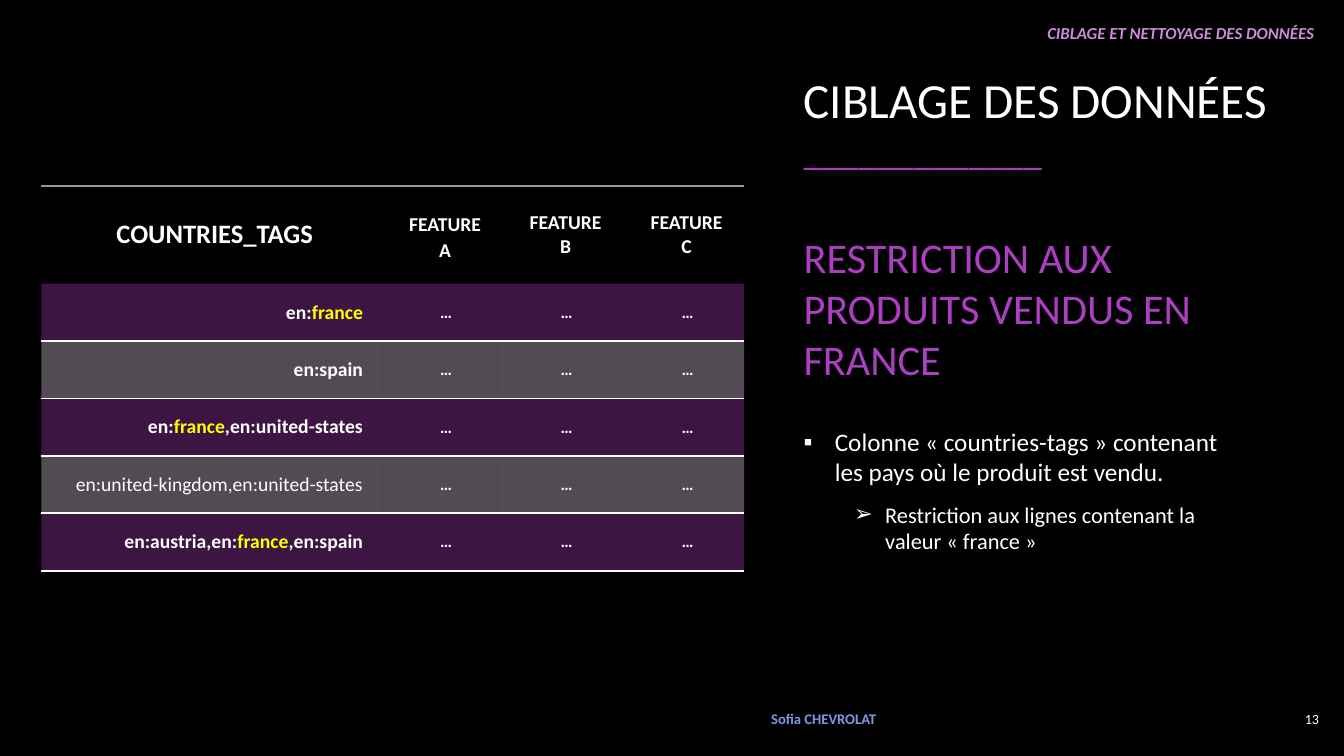
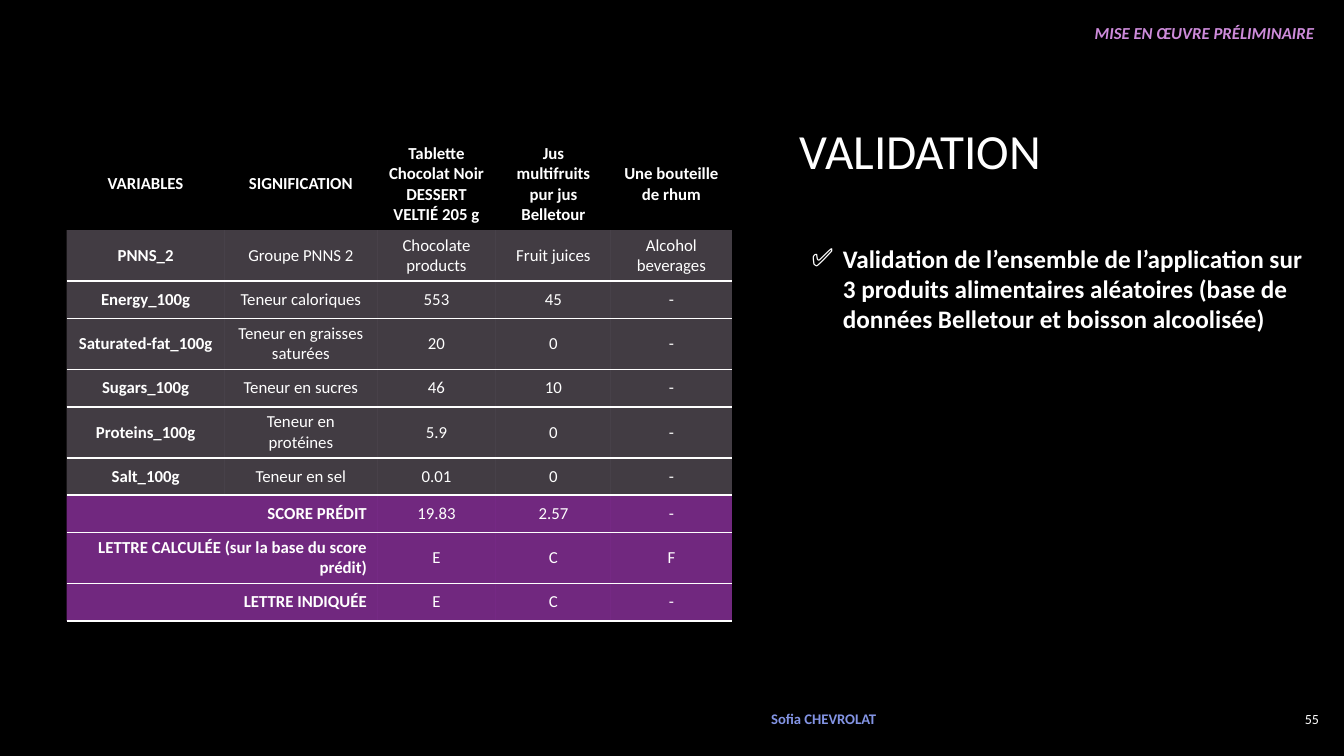
from collections import namedtuple
from dataclasses import dataclass

from lxml import etree
from pptx import Presentation
from pptx import util as u
from pptx.dml import color
from pptx.enum import text as t
from pptx.oxml import ns

Box = namedtuple("Box", "left top width height")
UNIT = u.Inches(0.01)
COLUMNS, ROWS = 1333, 750


@dataclass(frozen=True)
class Theme:
    """Colours, font and type sizes shared by the slides."""
    font: str = "Calibri"
    black: str = "000000"
    white: str = "FFFFFF"
    purple: str = "AC3EC1"
    pale: str = "EED8F3"
    section: str = "CD8BDA"
    author: str = "8394E4"
    grey: str = "8F9A9D"
    yellow: str = "FFFF00"
    title: float = 35.1
    rule: float = 26.3
    subtitle: float = 30.2
    body: float = 18
    sub_body: float = 16
    lead_header: float = 19
    cell: float = 14
    small: float = 12
    footer: float = 10.5
    number: float = 10


THEME = Theme()
LEFT, CENTER, RIGHT = t.PP_ALIGN.LEFT, t.PP_ALIGN.CENTER, t.PP_ALIGN.RIGHT
MIDDLE, TOP = t.MSO_ANCHOR.MIDDLE, t.MSO_ANCHOR.TOP


def assign(target, values):
    """Set each named attribute on the target."""
    for name, value in values.items():
        setattr(target, name, value)


def grid(box):
    """Turn a box in grid units into lengths."""
    return [int(UNIT * value) for value in box]


def add_run(paragraph, text, size, colour=THEME.white, **style):
    """Add one formatted run."""
    run = paragraph.add_run()
    run.text = text
    assign(run.font, {"name": THEME.font, "size": u.Pt(size), **style})
    run.font.color.rgb = color.RGBColor.from_string(colour)


def add_element(parent, tag, **attributes):
    """Append one drawing element to the parent."""
    return etree.SubElement(parent, ns.qn(tag), attributes)


def set_bullet(paragraph, character, indent):
    """Give a paragraph a white hanging bullet."""
    properties = paragraph._p.get_or_add_pPr()
    properties.set("marL", str(UNIT * indent))
    properties.set("indent", str(UNIT * -31))
    add_element(add_element(properties, "a:buClr"), "a:srgbClr", val=THEME.white)
    add_element(properties, "a:buFont", typeface="Arial")
    add_element(properties, "a:buChar", char=character)


def place(shape, box, anchor):
    """Move a text shape to its box and return its frame."""
    assign(shape, dict(zip(Box._fields, grid(box))))
    frame = shape.text_frame
    assign(frame, {"word_wrap": True, "auto_size": t.MSO_AUTO_SIZE.NONE,
                   "vertical_anchor": anchor})
    return frame


def fill_paragraphs(frame, paragraphs):
    """Fill a frame with (text, run style, paragraph format, bullet) entries."""
    for index, (text, style, layout, bullet) in enumerate(paragraphs):
        paragraph = frame.add_paragraph() if index else frame.paragraphs[0]
        assign(paragraph, {"alignment": LEFT, "space_before": u.Pt(0), **layout})
        if bullet:
            set_bullet(paragraph, *bullet)
        add_run(paragraph, text, **style)


def add_label(slide, box, text, anchor, alignment, **style):
    """Add a single-line text box."""
    frame = place(slide.shapes.add_textbox(*grid(box)), box, anchor)
    fill_paragraphs(frame, [(text, style, {"alignment": alignment}, None)])


def add_base(presentation, section, number):
    """Add a slide with its section name, author and number."""
    slide = presentation.slides.add_slide(presentation.slide_layouts[1])
    add_label(slide, Box(767.5, 17.5, 546, 30), section, TOP, RIGHT, size=THEME.small,
              colour=THEME.section, bold=True, italic=True)
    add_label(slide, Box(1258, 692.5, 60, 41), number, MIDDLE, RIGHT,
              size=THEME.number)
    add_label(slide, Box(755, 692, 176, 41), "Sofia CHEVROLAT", MIDDLE, LEFT,
              size=THEME.footer, colour=THEME.author, bold=True)
    return slide


def add_title(slide, box, paragraphs):
    """Fill the title placeholder."""
    fill_paragraphs(place(slide.shapes.title, box, MIDDLE), paragraphs)


def add_body(slide, box, paragraphs, anchor):
    """Fill the body placeholder with bullets."""
    fill_paragraphs(place(slide.placeholders[1], box, anchor), paragraphs)


def add_table(slide, box, columns, rows):
    """Add an unstyled table whose tracks share its box by weight."""
    table = slide.shapes.add_table(len(rows), len(columns), *grid(box)).table
    table._tbl.tblPr.find(ns.qn("a:tableStyleId")).text = (
        "{2D5ABB26-0587-4C30-8999-92F81FD0307C}")
    for column, weight in zip(table.columns, columns):
        column.width = int(UNIT * box.width * weight / sum(columns))
    for row, weight in zip(table.rows, rows):
        row.height = int(UNIT * box.height * weight / sum(rows))
    return table


def set_alpha(parent, percent):
    """Make the colour under the parent partly transparent."""
    for colour in parent.iter(ns.qn("a:srgbClr")):
        add_element(colour, "a:alpha", val=str(percent * 1000))


def paint_cell(cell, fill=None, alpha=100, top=None, bottom=None):
    """Set the fill and the four borders of a cell."""
    properties = cell._tc.get_or_add_tcPr()
    if fill:
        cell.fill.solid()
        cell.fill.fore_color.rgb = color.RGBColor.from_string(fill)
        set_alpha(properties, alpha)
    else:
        cell.fill.background()
    borders = {"a:lnL": None, "a:lnR": None, "a:lnT": top, "a:lnB": bottom}
    for index, (tag, border) in enumerate(borders.items()):
        line = add_element(properties, tag, w=str(u.Pt(1.5)))
        if border:
            add_element(add_element(line, "a:solidFill"), "a:srgbClr", val=border)
        else:
            add_element(line, "a:noFill")
        if border == THEME.grey:
            set_alpha(line, 60)
        properties.insert(index, line)


def paint_body_cell(cell, row, fill, alpha):
    """Paint a body cell ruled below, and above when not in the first row."""
    paint_cell(cell, fill, alpha, THEME.white if row > 1 else None, THEME.white)


def write_cell(cell, runs, alignment=CENTER, margins=None):
    """Write (text, size, style) runs in a cell."""
    cell.vertical_anchor = MIDDLE
    if margins:
        names = ("margin_left", "margin_top", "margin_right", "margin_bottom")
        assign(cell, dict(zip(names, grid(margins))))
    paragraph = cell.text_frame.paragraphs[0]
    paragraph.alignment = alignment
    for text, size, style in runs:
        if text:
            add_run(paragraph, text, size, **style)


def add_countries_table(slide, box):
    """Add the table of country tags."""
    tags = ["en:france", "en:spain", "en:france,en:united-states",
            "en:united-kingdom,en:united-states", "en:austria,en:france,en:spain"]
    table = add_table(slide, box, [333, 124, 115, 125], [97] + [57] * len(tags))
    bold = {"bold": True}
    headers = [[("COUNTRIES_TAGS", THEME.lead_header, bold)],
               [("FEATURE", THEME.cell, bold), (" ", THEME.lead_header, bold),
                ("A", THEME.cell, bold)],
               [("FEATURE B", THEME.cell, bold)], [("FEATURE C", THEME.cell, bold)]]
    for column, runs in enumerate(headers):
        cell = table.cell(0, column)
        write_cell(cell, runs, margins=(27, 16, 16, 16))
        paint_cell(cell, top=THEME.grey)
    for row, tag in enumerate(tags, 1):
        before, match, after = tag.partition("france")
        style = {"bold": "kingdom" not in tag}
        runs = [(before, THEME.cell, style),
                (match, THEME.cell, {**style, "colour": THEME.yellow}),
                (after, THEME.cell, style)]
        for column in range(len(headers)):
            cell = table.cell(row, column)
            write_cell(cell, [("…", THEME.small, bold)] if column else runs,
                       CENTER if column else RIGHT, (27, 14, 14, 14))
            paint_body_cell(cell, row, THEME.purple if row % 2 else THEME.pale, 35)


def add_products_table(slide, box):
    """Add the table of product values and scores."""
    lines = [
        ("VARIABLES", "SIGNIFICATION", "Tablette Chocolat Noir DESSERT VELTIÉ 205 g",
         "Jus multifruits pur jus Belletour", "Une bouteille de rhum"),
        ("PNNS_2", "Groupe PNNS 2", "Chocolate products", "Fruit juices",
         "Alcohol beverages"),
        ("Energy_100g", "Teneur caloriques", "553", "45", "-"),
        ("Saturated-fat_100g", "Teneur en graisses saturées", "20", "0", "-"),
        ("Sugars_100g", "Teneur en sucres", "46", "10", "-"),
        ("Proteins_100g", "Teneur en protéines", "5.9", "0", "-"),
        ("Salt_100g", "Teneur en sel", "0.01", "0", "-"),
        ("SCORE PRÉDIT", "", "19.83", "2.57", "-"),
        ("LETTRE CALCULÉE (sur la base du score prédit)", "", "E", "C", "F"),
        ("LETTRE INDIQUÉE", "", "E", "C", "-")]
    short, tall = 37, 50
    heights = [90, tall, short, tall, short, tall, short, short, tall, short]
    table = add_table(slide, box, [157, 151, 118, 114, 120], heights)
    for row, line in enumerate(lines):
        score = not line[1]
        if score:
            table.cell(row, 0).merge(table.cell(row, 1))
        for column, text in enumerate(line):
            cell = table.cell(row, column)
            bold = row == 0 or column == 0
            write_cell(cell, [(text, THEME.small, {"bold": bold})],
                       RIGHT if score and column == 0 else CENTER)
            if row == 0:
                paint_cell(cell)
            else:
                paint_body_cell(cell, row, THEME.purple if score else THEME.pale,
                                66 if score else 28)


def build_targeting(presentation):
    """Build the data targeting slide."""
    slide = add_base(presentation, "CIBLAGE ET NETTOYAGE DES DONNÉES", "13")
    add_title(slide, Box(787, 85, 505, 280), [
        ("CIBLAGE DES DONNÉES", {"size": THEME.title}, {}, None),
        ("_____________", {"size": THEME.rule, "colour": THEME.purple}, {}, None),
        ("RESTRICTION AUX PRODUITS VENDUS EN FRANCE",
         {"size": THEME.subtitle, "colour": THEME.purple},
         {"space_before": u.Pt(42)}, None)])
    after = {"space_after": u.Pt(10)}
    add_body(slide, Box(787, 405, 433, 163), [
        ("Colonne « countries-tags » contenant les pays où le produit est vendu.",
         {"size": THEME.body}, after, ("▪", 31)),
        ("Restriction aux lignes contenant la valeur « france »",
         {"size": THEME.sub_body}, {**after, "level": 1}, ("➢", 81))], MIDDLE)
    add_countries_table(slide, Box(41, 184.5, 697, 382))


def build_validation(presentation):
    """Build the validation slide."""
    slide = add_base(presentation, "MISE EN ŒUVRE PRÉLIMINAIRE", "55")
    add_title(slide, Box(783, 95, 505, 108),
              [("VALIDATION", {"size": THEME.title}, {}, None)])
    add_body(slide, Box(795, 236, 523, 101), [
        ("Validation de l’ensemble de l’application sur 3 produits alimentaires "
         "aléatoires (base de données Belletour et boisson alcoolisée)",
         {"size": THEME.body, "bold": True}, {}, ("✅", 31))], TOP)
    add_products_table(slide, Box(66, 137, 660, 475))


def main():
    """Build and save the presentation."""
    presentation = Presentation()
    assign(presentation, {"slide_width": UNIT * COLUMNS, "slide_height": UNIT * ROWS})
    background = presentation.slide_master.background.fill
    background.solid()
    background.fore_color.rgb = color.RGBColor.from_string(THEME.black)
    build_targeting(presentation)
    build_validation(presentation)
    presentation.save("out.pptx")


if __name__ == "__main__":
    main()
